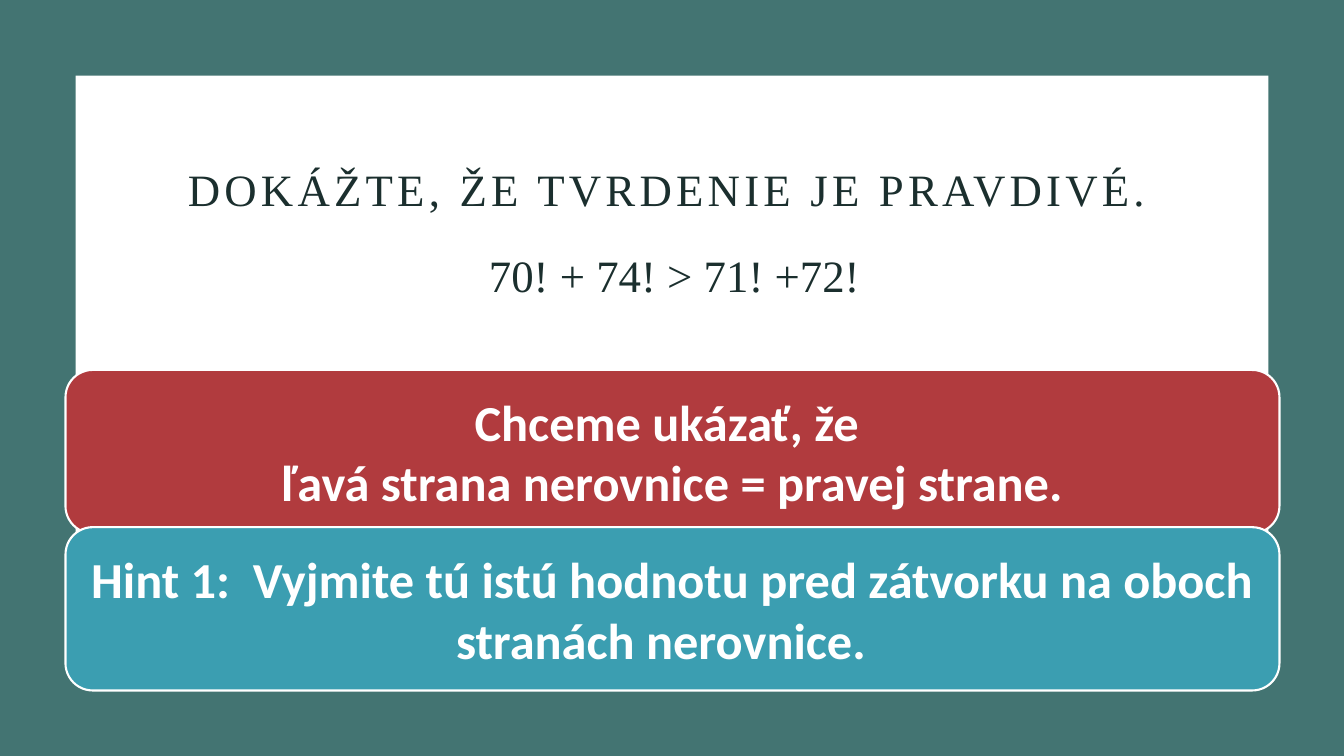
from lxml import etree
from pptx import Presentation, util as u
from pptx.dml.color import RGBColor
from pptx.enum import shapes, text
from pptx.oxml.ns import qn

WIDTH, HEIGHT = 13.33, 7.5
MARGIN = HEIGHT / 10
TEXT_LEFT = 2 * MARGIN
TEXT_WIDTH = 10.38
CARD_LEFT, CARD_WIDTH, CARD_HEIGHT = 0.65, 12.04, 1.62
CARD_TOP, CARD_STEP = 3.67, 1.56

HEADING = {"name": "Times New Roman", "size": u.Pt(32), "bold": False}
HINT = {"name": "Calibri", "size": u.Pt(36), "bold": True}
CARDS = [
    ("B13B3E", ["Chceme ukázať, že ", "ľavá strana nerovnice = pravej strane."]),
    ("3B9EB1", ["Hint 1:  Vyjmite tú istú hodnotu pred zátvorku "
                "na oboch stranách nerovnice.  "]),
]


def paint(fill, color):
    fill.solid()
    fill.fore_color.rgb = RGBColor.from_string(color)


def write(box, lines, style, color, anchor):
    frame = box.text_frame
    frame.word_wrap = True
    frame.auto_size = text.MSO_AUTO_SIZE.NONE
    frame.vertical_anchor = anchor
    for index, line in enumerate(lines):
        para = frame.paragraphs[0] if index == 0 else frame.add_paragraph()
        para.alignment = text.PP_ALIGN.CENTER
        para.space_before = u.Pt(0)
        span = para.add_run()
        span.text = line
        for name, value in style.items():
            setattr(span.font, name, value)
        paint(span.font.fill, color)
    return frame.paragraphs[0]


def place(box, left, top, width, height):
    frame = {"left": left, "top": top, "width": width, "height": height}
    for name, value in frame.items():
        setattr(box, name, u.Inches(value))


def add_panel(page, kind, area, color):
    box = page.shapes.add_shape(kind, *map(u.Inches, area))
    box.shadow.inherit = False
    paint(box.fill, color)
    box.line.fill.background()
    return box


def add_card(page, row, color, lines):
    area = (CARD_LEFT, CARD_TOP + row * CARD_STEP, CARD_WIDTH, CARD_HEIGHT)
    card = add_panel(page, shapes.MSO_SHAPE.ROUNDED_RECTANGLE, area, color)
    paint(card.line.fill, "FFFFFF")
    card.line.width = u.Pt(1.5)
    write(card, lines, HINT, "FFFFFF", text.MSO_ANCHOR.MIDDLE)


def add_task(page, heading, formula):
    title, body = page.placeholders
    place(title, TEXT_LEFT, 1.1, TEXT_WIDTH, 1.1)
    para = write(title, [heading], HEADING, "1B2F2E", text.MSO_ANCHOR.BOTTOM)
    para.line_spacing = 0.9
    para.runs[0].font._element.set("spc", "300")

    place(body, TEXT_LEFT, 2.41, TEXT_WIDTH, 3.87)
    para = write(body, [formula], HEADING, "1B2F2E", text.MSO_ANCHOR.TOP)
    settings = para._p.get_or_add_pPr()
    settings.set("marL", "0")
    settings.set("indent", "0")
    etree.SubElement(settings, qn("a:buNone"))


def main():
    deck = Presentation()
    deck.slide_width, deck.slide_height = u.Inches(WIDTH), u.Inches(HEIGHT)
    page = deck.slides.add_slide(deck.slide_layouts[1])
    paint(page.background.fill, "437472")

    area = (MARGIN, MARGIN, WIDTH - 2 * MARGIN, HEIGHT - 2 * MARGIN)
    sheet = add_panel(page, shapes.MSO_SHAPE.RECTANGLE, area, "FFFFFF")
    page.shapes.title._element.addprevious(sheet._element)

    add_task(page, "DOKÁŽTE, ŽE TVRDENIE JE PRAVDIVÉ. ", "70! + 74! > 71! +72!")
    for row, (color, lines) in enumerate(CARDS):
        add_card(page, row, color, lines)
    deck.save("out.pptx")


if __name__ == "__main__":
    main()
